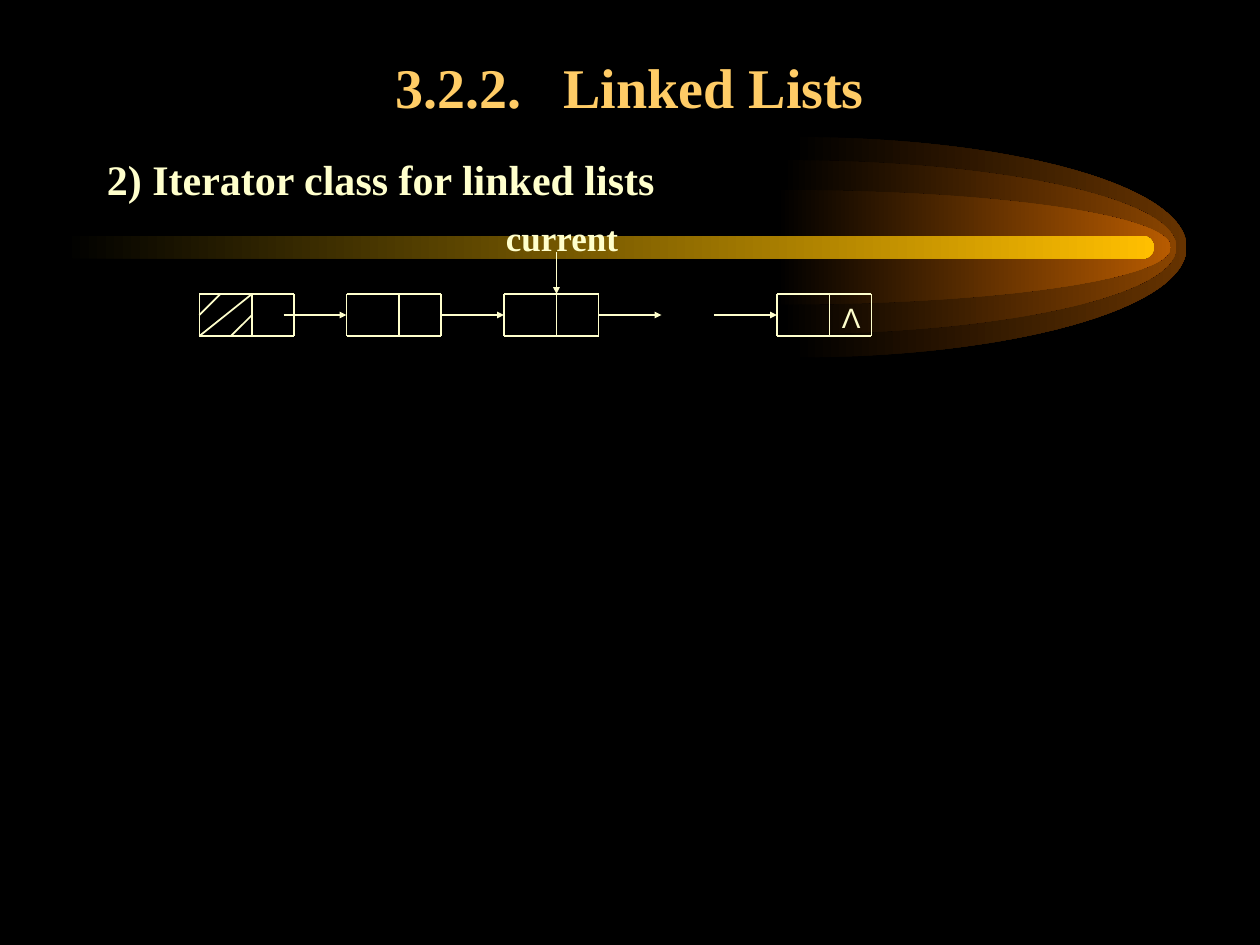
from lxml import etree
from pptx import Presentation
from pptx.dml.color import RGBColor
from pptx.enum.shapes import MSO_CONNECTOR, MSO_SHAPE
from pptx.enum.text import MSO_ANCHOR, PP_ALIGN
from pptx.oxml.ns import qn
from pptx.util import Inches, Pt

STRAIGHT = MSO_CONNECTOR.STRAIGHT
ROUNDED = MSO_SHAPE.ROUNDED_RECTANGLE
TOP, BOTTOM = MSO_ANCHOR.TOP, MSO_ANCHOR.BOTTOM
LEFT, CENTER = PP_ALIGN.LEFT, PP_ALIGN.CENTER

COLORS = {
    "background": "000000",
    "title": "FFCC66",
    "ink": "FFFFCC",
    "bar": "FFBF00",
    "outer_glow": "663300",
    "middle_glow": "894400",
    "inner_glow": "B75B00",
}
SERIF, SANS = "Times New Roman", "Arial"

# The slide is a grid of 120 columns and 90 rows.
CELL = Inches(1 / 12)
COLUMNS, ROWS = 120, 90
NODE_COLUMNS, NODE_ROWS, DATA_COLUMNS = 9, 4, 5
ARROW_COLUMNS = 6

# Control points of two Bezier quarters of an ellipse, as shares of its box.
HALF_ELLIPSE = ((0, 0), (0.55, 0), (1, 0.22), (1, 0.5),
                (1, 0.78), (0.55, 1), (0, 1))


def color(name):
    return RGBColor.from_string(COLORS[name])


def cells(*counts):
    return [round(count * CELL) for count in counts]


def fade_from_background(shape, name):
    shape.shadow.inherit = False
    shape.line.fill.background()
    shape.fill.gradient()
    shape.fill.gradient_angle = 0
    for stop, stop_color in zip(shape.fill.gradient_stops, ("background", name)):
        stop.color.rgb = color(stop_color)


def curve_segments(shape):
    """Turn each three straight segments of a freeform into one Bezier curve."""
    segments = list(shape._element.iter(qn("a:lnTo")))
    for first in range(0, len(segments), 3):
        curve = etree.Element(qn("a:cubicBezTo"))
        segments[first].addprevious(curve)
        for segment in segments[first:first + 3]:
            curve.append(segment[0])
            segment.getparent().remove(segment)


def add_glow(slide, box, name):
    """Draw the right half of an ellipse that fills the box."""
    left, top, width, height = cells(*box)
    points = [(round(left + x * width), round(top + y * height))
              for x, y in HALF_ELLIPSE]
    outline = slide.shapes.build_freeform(*points[0])
    outline.add_line_segments(points[1:], close=True)
    glow = outline.convert_to_shape()
    curve_segments(glow)
    fade_from_background(glow, name)


def add_comet(slide, box):
    """Draw the glows and the bar, all centred on the middle row of the box."""
    left, top, width, height = box
    middle = top + height / 2
    glow_width = 0.351 * width
    for name, start, share in (
        ("outer_glow", 0.649, 1),
        ("middle_glow", 0.64, 0.79),
        ("inner_glow", 0.635, 0.52),
    ):
        glow_height = share * height
        add_glow(slide, (left + start * width, middle - glow_height / 2,
                         glow_width, glow_height), name)
    bar_height = 0.104 * height
    bar = slide.shapes.add_shape(
        ROUNDED, *cells(left, middle - bar_height / 2, 0.971 * width, bar_height))
    bar.adjustments[0] = 0.5
    fade_from_background(bar, "bar")


def add_text(slide, box, words, size, ink="ink", font=SERIF, bold=True,
             align=LEFT, anchor=TOP):
    """Write (text, letter spacing in points) pairs as the runs of one line."""
    frame = slide.shapes.add_textbox(*cells(*box)).text_frame
    frame.word_wrap = True
    frame.vertical_anchor = anchor
    line = frame.paragraphs[0]
    line.alignment = align
    for text, spacing in words:
        run = line.add_run()
        run.text = text
        run.font.size = Pt(size)
        run.font.name = font
        run.font.bold = bold
        run.font.color.rgb = color(ink)
        if spacing:
            run.font._element.set("spc", str(spacing * 100))


def add_line(slide, start, end, arrow=False):
    line = slide.shapes.add_connector(STRAIGHT, *cells(*start, *end))
    line.line.color.rgb = color("ink")
    line.line.width = Pt(1)
    if arrow:
        etree.SubElement(line.line._get_or_add_ln(), qn("a:tailEnd"),
                         type="triangle", w="sm", len="sm")
    etree.SubElement(line._element.spPr, qn("a:effectLst"))


def add_node(slide, column, row):
    """Rule a list node: a data field and a link field."""
    right, bottom = column + NODE_COLUMNS, row + NODE_ROWS
    for y in (row, bottom):
        add_line(slide, (column, y), (right, y))
    for x in (column, column + DATA_COLUMNS, right):
        add_line(slide, (x, row), (x, bottom))


def add_linked_list(slide, box):
    left, top, width, height = box
    row = top + height - NODE_ROWS
    middle, bottom = row + NODE_ROWS / 2, row + NODE_ROWS
    first, current = left + 14, left + 29
    last = left + width - NODE_COLUMNS
    for column in (left, first, current, last):
        add_node(slide, column, row)

    for start in (first - ARROW_COLUMNS, first + NODE_COLUMNS,
                  current + NODE_COLUMNS, last - ARROW_COLUMNS):
        add_line(slide, (start, middle), (start + ARROW_COLUMNS, middle), True)

    data_end = left + DATA_COLUMNS
    for start, end in (
        ((left + 2, row), (left, middle)),
        ((data_end, row), (left, bottom)),
        ((data_end, middle), (data_end - 2, bottom)),
    ):
        add_line(slide, start, end)

    pointer = current + DATA_COLUMNS
    add_text(slide, (pointer - 6, top, 15, 5.25), [("current", 0)], 20)
    add_line(slide, (pointer, row - 4), (pointer, row), True)
    add_text(slide, (last + DATA_COLUMNS, row, 5, 4.4), [("Λ", 0)], 16,
             font=SANS, bold=False)


def main():
    deck = Presentation()
    deck.slide_width, deck.slide_height = cells(COLUMNS, ROWS)
    slide = deck.slides.add_slide(deck.slide_layouts[6])
    slide.background.fill.solid()
    slide.background.fill.fore_color.rgb = color("background")

    add_comet(slide, (6, 13.05, 107, 21))
    add_text(slide, (9, 4, 102, 8), [("3.2.2.", 0), (" ", 16), ("Linked Lists", 0)],
             32, ink="title", align=CENTER, anchor=BOTTOM)
    add_text(slide, (9, 14, 102, 67), [("2) Iterator class for linked lists", 0)], 24)
    add_linked_list(slide, (19, 20, 64, 12))
    deck.save("out.pptx")


if __name__ == "__main__":
    main()
